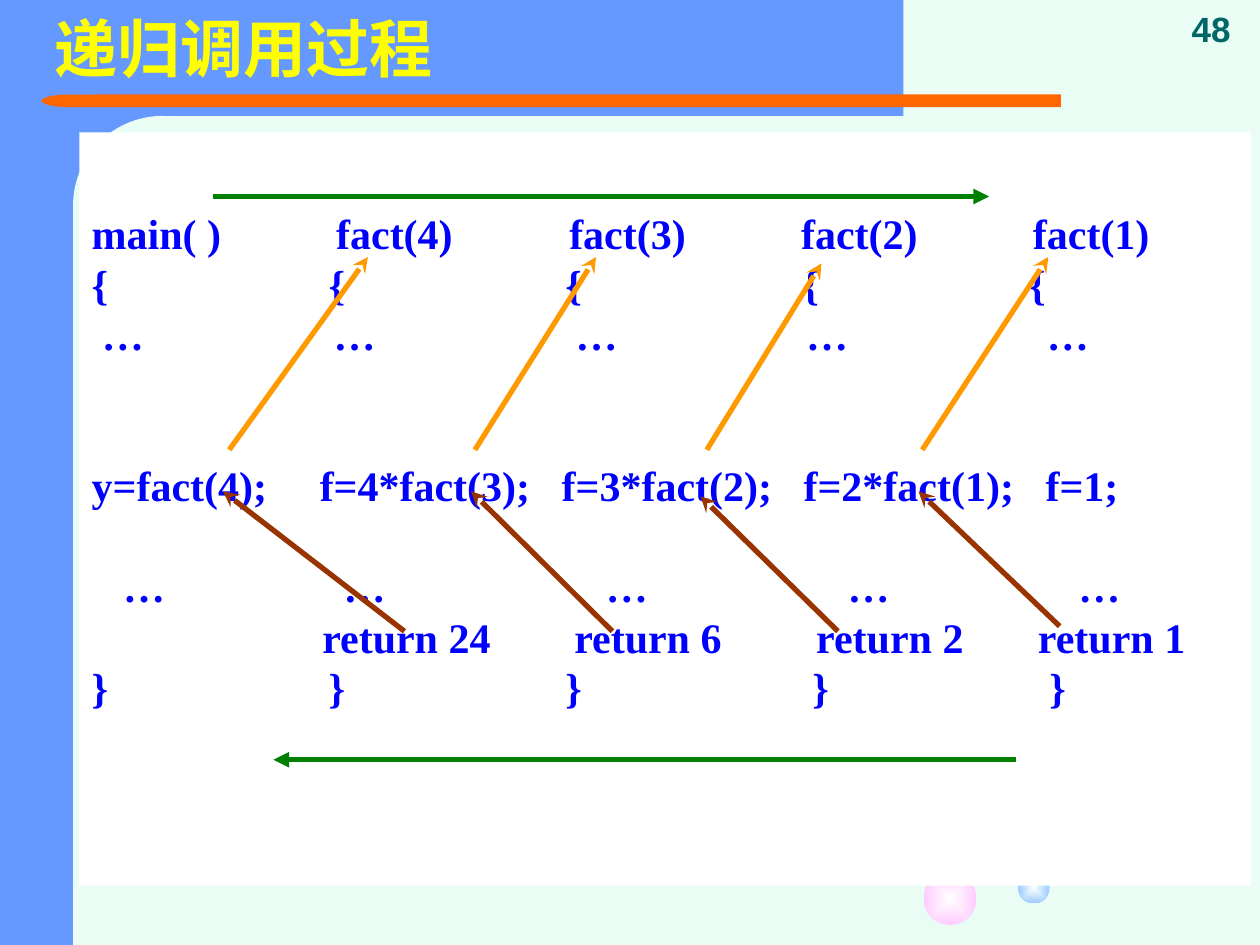
from dataclasses import dataclass

import lxml.etree
import pptx
import pptx.dml.color
import pptx.enum.shapes
import pptx.enum.text
import pptx.oxml
import pptx.oxml.ns
import pptx.util
from pptx.util import Inches

SHAPES = pptx.enum.shapes.MSO_SHAPE
ANCHORS = pptx.enum.text.MSO_ANCHOR
LEFT = pptx.enum.text.PP_ALIGN.LEFT
BLUE, MINT, ORANGE, WHITE = "6699FF", "E9FDF4", "FF6600", "FFFFFF"
GREEN, AMBER, BROWN = "008000", "FF9900", "993300"
LINE_HEIGHT = 28.8


@dataclass
class Panel:
    kind: int
    left: float
    top: float
    width: float
    height: float
    color: str
    corner: float | None = None
    rotation: int = 0


@dataclass
class Bubble:
    left: float
    size: float
    color: str


@dataclass
class Arrow:
    start: tuple[float, float]
    end: tuple[float, float]
    color: str
    head: str = "stealth"


@dataclass
class CodeRow:
    cells: str
    stops: tuple[float, ...]
    skipped_lines: int = 0


PANELS = [
    Panel(SHAPES.RECTANGLE, 0, 0, 1.25, 7.5, BLUE),
    Panel(SHAPES.RECTANGLE, 0.5, 0, 6.67, 0.92, BLUE),
    Panel(SHAPES.ROUNDED_RECTANGLE, 0.58, 0.92, 1.42, 5.75, MINT, corner=0.5),
    Panel(SHAPES.ROUNDED_RECTANGLE, 0.75, 0.75, 7.67, 0.1, ORANGE, corner=0),
    Panel(SHAPES.FLOWCHART_DELAY, 0.33, 0.75, 0.43, 0.1, ORANGE, rotation=180),
    Panel(SHAPES.RECTANGLE, 0.58, 5.92, 1.42, 1.58, MINT),
]
BUBBLES = [Bubble(7.33, 0.42, "FFCCFF"), Bubble(8.08, 0.25, "99CCFF")]
CODE_PANEL = Panel(SHAPES.RECTANGLE, 0.63, 1.05, 9.3, 5.98, WHITE)
CODE_ROWS = [
    CodeRow("main( )\tfact(4)\tfact(3)\tfact(2)\tfact(1)", (1.94, 3.79, 5.63, 7.47)),
    CodeRow("{\t{\t{\t{\t{", (1.88, 3.76, 5.64, 7.44)),
    CodeRow("\t…\t…\t…\t…\t…", (0.08, 1.92, 3.84, 5.67, 7.58)),
    CodeRow("y=fact(4);\tf=4*fact(3);\tf=3*fact(2);\tf=2*fact(1);\tf=1;",
            (1.81, 3.73, 5.65, 7.57), skipped_lines=2),
    CodeRow("\t…\t…\t…\t…\t…", (0.25, 2, 4.08, 6, 7.83), skipped_lines=1),
    CodeRow("\treturn 24\treturn 6\treturn 2\treturn 1", (1.83, 3.83, 5.75, 7.51)),
    CodeRow("}\t}\t}\t}\t}", (1.88, 3.76, 5.72, 7.6)),
]
ARROWS = [
    Arrow((1.69, 1.56), (7.85, 1.56), GREEN, "triangle"),
    Arrow((8.06, 6.03), (2.17, 6.03), GREEN, "triangle"),
    Arrow((1.82, 3.57), (2.92, 2.04), AMBER),
    Arrow((3.77, 3.57), (4.73, 2.04), AMBER),
    Arrow((5.61, 3.57), (6.52, 2.09), AMBER),
    Arrow((7.32, 3.57), (8.32, 2.04), AMBER),
    Arrow((8.41, 4.97), (7.29, 3.9), BROWN),
    Arrow((6.65, 5.01), (5.56, 3.94), BROWN),
    Arrow((4.86, 5.01), (3.74, 3.9), BROWN),
    Arrow((3.21, 5.01), (1.77, 3.9), BROWN),
]


def rgb(color: str) -> pptx.dml.color.RGBColor:
    return pptx.dml.color.RGBColor.from_string(color)


def add_child(parent, tag: str, **attributes: str):
    return lxml.etree.SubElement(parent, pptx.oxml.ns.qn(tag), attributes)


def set_font(paragraph, name: str, size: int, color: str) -> None:
    paragraph.font.name = name
    paragraph.font.size = pptx.util.Pt(size)
    paragraph.font.bold = True
    paragraph.font.color.rgb = rgb(color)


def add_panel(slide, panel: Panel):
    shape = slide.shapes.add_shape(panel.kind, Inches(panel.left), Inches(panel.top),
                                   Inches(panel.width), Inches(panel.height))
    shape.shadow.inherit = False
    shape.fill.solid()
    shape.fill.fore_color.rgb = rgb(panel.color)
    shape.line.fill.background()
    shape.rotation = panel.rotation
    if panel.corner is not None:
        shape.adjustments[0] = panel.corner
    return shape


def add_bubble(slide, bubble: Bubble) -> None:
    shape = add_panel(slide, Panel(SHAPES.OVAL, bubble.left, 6.92, bubble.size,
                                   bubble.size, bubble.color))
    shape.fill.gradient()
    for stop, color, position in zip(shape.fill.gradient_stops, (WHITE, bubble.color), (0, 1)):
        stop.color.rgb = rgb(color)
        stop.position = position
    gradient = shape.element.spPr.find(pptx.oxml.ns.qn("a:gradFill"))
    gradient.remove(gradient.find(pptx.oxml.ns.qn("a:lin")))
    center = dict.fromkeys("ltrb", "50000")
    add_child(add_child(gradient, "a:path", path="rect"), "a:fillToRect", **center)


def add_title(slide, text: str) -> None:
    title = slide.shapes.title
    title.left, title.top = Inches(0.33), Inches(0)
    title.width, title.height = Inches(8.42), Inches(0.83)
    frame = title.text_frame
    frame.text = text
    frame.auto_size = pptx.enum.text.MSO_AUTO_SIZE.NONE
    frame.vertical_anchor = ANCHORS.MIDDLE
    paragraph = frame.paragraphs[0]
    paragraph.alignment = LEFT
    paragraph.line_spacing = 0.9
    set_font(paragraph, "Arial", 36, "FFFF00")
    title.element.getparent().append(title.element)


def add_code(slide, panel: Panel, rows: list[CodeRow]) -> None:
    frame = add_panel(slide, panel).text_frame
    frame.word_wrap = True
    frame.vertical_anchor = ANCHORS.TOP
    frame.margin_top = Inches(0.6)
    for index, row in enumerate(rows):
        paragraph = frame.add_paragraph() if index else frame.paragraphs[0]
        paragraph.text = row.cells
        paragraph.alignment = LEFT
        paragraph.line_spacing = pptx.util.Pt(LINE_HEIGHT)
        if row.skipped_lines:
            paragraph.space_before = pptx.util.Pt(LINE_HEIGHT * row.skipped_lines)
        tabs = add_child(paragraph._p.get_or_add_pPr(), "a:tabLst")
        for stop in row.stops:
            add_child(tabs, "a:tab", pos=str(Inches(stop)), algn="l")
        set_font(paragraph, "Times New Roman", 24, "0000FF")


def add_arrow(slide, arrow: Arrow) -> None:
    connector = slide.shapes.add_connector(pptx.enum.shapes.MSO_CONNECTOR.STRAIGHT,
                                           *map(Inches, arrow.start + arrow.end))
    connector.line.color.rgb = rgb(arrow.color)
    connector.line.width = pptx.util.Pt(3)
    add_child(connector.line._get_or_add_ln(), "a:tailEnd", type=arrow.head)
    add_child(connector.element.spPr, "a:effectLst")


def add_slide_number(slide, text: str) -> None:
    box = slide.shapes.add_textbox(Inches(9.36), Inches(0), Inches(0.64), Inches(0.44))
    frame = box.text_frame
    frame.word_wrap = True
    frame.vertical_anchor = ANCHORS.BOTTOM
    frame.text = text
    set_font(frame.paragraphs[0], "Arial", 20, "006666")


def main() -> None:
    presentation = pptx.Presentation()
    presentation.slide_width, presentation.slide_height = Inches(10), Inches(7.5)
    slide = presentation.slides.add_slide(presentation.slide_layouts[5])
    slide.background.fill.solid()
    slide.background.fill.fore_color.rgb = rgb(MINT)
    for panel in PANELS:
        add_panel(slide, panel)
    for bubble in BUBBLES:
        add_bubble(slide, bubble)
    add_title(slide, "递归调用过程")
    add_code(slide, CODE_PANEL, CODE_ROWS)
    for arrow in ARROWS:
        add_arrow(slide, arrow)
    add_slide_number(slide, "48")
    presentation.save("out.pptx")


if __name__ == "__main__":
    main()
